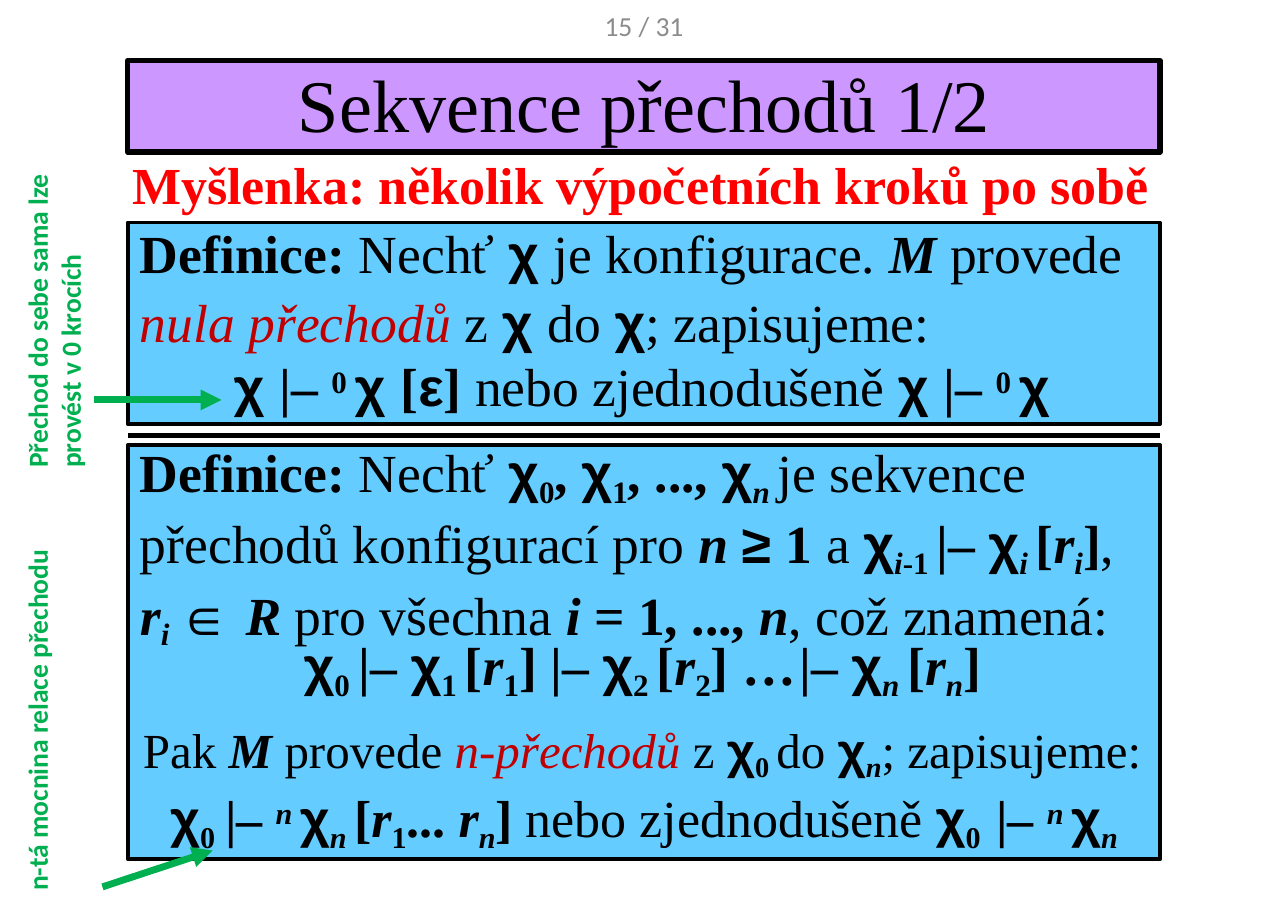
from lxml import etree
from pptx import Presentation
from pptx.dml.color import RGBColor
from pptx.enum.shapes import MSO_CONNECTOR, MSO_SHAPE
from pptx.enum.text import PP_ALIGN
from pptx.oxml.ns import qn
from pptx.util import Inches, Pt

RECTANGLE = MSO_SHAPE.RECTANGLE
STRAIGHT = MSO_CONNECTOR.STRAIGHT
LEFT, CENTER = PP_ALIGN.LEFT, PP_ALIGN.CENTER

COLORS = {"text": "000000", "idea": "FF0000", "term": "C00000", "note": "00B050",
          "page": "8C8C8C", "title": "CC98FF", "definition": "65CCFF"}
SERIF, GREEK, SANS = "Times New Roman", "Arial", "Calibri"
BASELINES = {"_": "-20000", "^": "25000"}

PANEL_LEFT, PANEL_WIDTH = 1.16, 9.37
CHI = ("χ", "ba")
STEP = ("|– ", "b")


def chi(index, style=""):
    return [CHI, (index, "b_" + style)]


def rule(index, style="", end="] "):
    """Runs for a rule name in brackets, such as [r1]."""
    return [("[", "b"), ("r", "bi"), (index, "b_" + style), (end, "b")]


def rgb(name):
    return RGBColor.from_string(COLORS[name])


def add_panel(slide, top, height, color, border):
    panel = slide.shapes.add_shape(RECTANGLE, Inches(PANEL_LEFT), Inches(top),
                                   Inches(PANEL_WIDTH), Inches(height))
    panel.shadow.inherit = False
    panel.fill.solid()
    panel.fill.fore_color.rgb = rgb(color)
    panel.line.color.rgb = rgb("text")
    panel.line.width = Pt(border)


def add_text_frame(slide, left, top, width, height, inset_top=0.0, inset_side=0.0, rotation=0):
    box = slide.shapes.add_textbox(Inches(left), Inches(top), Inches(width), Inches(height))
    box.rotation = rotation
    frame = box.text_frame
    frame.word_wrap = True
    frame.margin_left = frame.margin_right = Inches(inset_side)
    frame.margin_top = Inches(inset_top)
    frame.margin_bottom = 0
    return frame


def add_runs(paragraph, runs, size, color="text", font=SERIF):
    """Style letters: b bold, i italic, a Greek font, t term colour, _ subscript, ^ superscript."""
    for text, style in runs:
        run = paragraph.add_run()
        run.text = text
        run.font.size = Pt(size)
        run.font.name = GREEK if "a" in style else font
        run.font.bold = "b" in style
        run.font.italic = "i" in style
        run.font.color.rgb = rgb("term" if "t" in style else color)
        for mark, baseline in BASELINES.items():
            if mark in style:
                run.font._element.set("baseline", baseline)


def format_paragraph(paragraph, align=LEFT, before=0, spacing=None, margin=0, indent=0, tabs=()):
    paragraph.alignment = align
    paragraph.space_before = Pt(before)
    if spacing:
        paragraph.line_spacing = spacing
    properties = paragraph._p.get_or_add_pPr()
    properties.set("marL", str(Inches(margin)))
    properties.set("indent", str(Inches(indent)))
    if tabs:
        tab_list = etree.SubElement(properties, qn("a:tabLst"))
        for position in tabs:
            etree.SubElement(tab_list, qn("a:tab"), pos=str(Inches(position)), algn="l")


def add_line(slide, start, end, color, width, arrow=False):
    line = slide.shapes.add_connector(STRAIGHT, *(Inches(value) for value in start + end))
    line.line.color.rgb = rgb(color)
    line.line.width = Pt(width)
    if arrow:
        etree.SubElement(line.line._get_or_add_ln(), qn("a:tailEnd"), type="triangle")
    etree.SubElement(line._element.spPr, qn("a:effectLst"))


def add_margin_note(slide, left, top, width, text):
    frame = add_text_frame(slide, left, top, width, 0.71, 0.05, 0.1, rotation=270)
    add_runs(frame.paragraphs[0], [(text, "b")], 18, "note", SANS)


def add_title(slide):
    add_panel(slide, 0.55, 0.83, "title", 3.5)
    title = add_text_frame(slide, PANEL_LEFT, 0.52, PANEL_WIDTH, 0.84, 0.01).paragraphs[0]
    format_paragraph(title, CENTER, before=0.9)
    add_runs(title, [("Sekvence přechodů 1/2", "")], 48.5)


def add_zero_steps(slide):
    add_panel(slide, 2.02, 1.83, "definition", 2.5)
    frame = add_text_frame(slide, 1.18, 1.3, 9.35, 2.51, 0.05)
    idea = frame.paragraphs[0]
    format_paragraph(idea, before=3.5, spacing=1.07, margin=0.09, indent=-0.07)
    add_runs(idea, [("Myšlenka: několik výpočetních kroků po sobě", "b")], 34, "idea")

    definition = frame.add_paragraph()
    format_paragraph(definition, spacing=1.07, margin=0.09)
    add_runs(definition, [
        ("Definice: ", "b"), ("Nechť ", ""), ("χ ", "ba"), ("je konfigurace. ", ""),
        ("M ", "bi"), ("provede ", ""), ("nula přechodů ", "it"), ("z ", ""), ("χ ", "ba"),
        ("do ", ""), CHI, ("; zapisujeme:", "")], 35)

    notation = frame.add_paragraph()
    format_paragraph(notation, before=0.3, margin=0.94)
    zero_step = [("χ ", "ba"), STEP, ("0 ", "b^")]
    add_runs(notation, [
        *zero_step, ("χ ", "ba"), ("[", "b"), ("ε", "ba"), ("] ", "b"),
        ("nebo zjednodušeně ", ""), *zero_step, CHI], 35)


def add_n_steps(slide):
    add_panel(slide, 4.04, 3.76, "definition", 2.5)
    definition = add_text_frame(slide, 1.23, 3.97, 9.09, 1.79, 0.01).paragraphs[0]
    format_paragraph(definition, before=0.9, spacing=1.01, margin=0.04)
    add_runs(definition, [
        ("Definice: ", "b"), ("Nechť ", ""), *chi("0"), (", ", "b"), *chi("1"),
        (", ..., ", "b"), *chi("n ", "i"), ("je sekvence přechodů konfigurací pro ", ""),
        ("n ", "bi"), ("≥ ", "ba"), ("1 ", "b"), ("a ", ""), *chi("i", "i"), ("-1 ", "b_"),
        STEP, *chi("i ", "i"), *rule("i", "i", "]"), (", ", ""), ("r", "bi"), ("i ", "bi_"),
        ("∈ ", "ba"), ("R ", "bi"), ("pro všechna ", ""), ("i ", "bi"), ("= 1, ..., ", "b"),
        ("n", "bi"), (", což znamená:", "")], 35)

    frame = add_text_frame(slide, 1.23, 5.56, 9.2, 2.05, 0.18)
    sequence = frame.paragraphs[0]
    format_paragraph(sequence, CENTER, before=13.1, tabs=(0.63, 4.95))
    add_runs(sequence, [
        *chi("0\t"), STEP, *chi("1 "), *rule("1"), STEP, *chi("2 "), *rule("2"),
        ("…\t", "b"), STEP, *chi("n ", "i"), *rule("n", "i", "]")], 35)

    conclusion = frame.add_paragraph()
    format_paragraph(conclusion, CENTER, before=10.7)
    add_runs(conclusion, [
        ("Pak ", ""), ("M ", "bi"), ("provede ", ""), ("n-přechodů ", "it"), ("z ", ""),
        *chi("0 "), ("do ", ""), *chi("n", "i"), ("; zapisujeme:", "")], 32)

    notation = frame.add_paragraph()
    format_paragraph(notation, CENTER, before=1.4, margin=0.03, tabs=(0.68, 7.95))
    n_steps = [*chi("0\t"), STEP, ("n ", "bi^")]
    add_runs(notation, [
        *n_steps, *chi("n ", "i"), *rule("1", end="... "), ("r", "bi"), ("n", "bi_"),
        ("] ", "b"), ("nebo zjednodušeně ", ""), *n_steps, *chi("n", "i")], 34)


def main():
    presentation = Presentation()
    presentation.slide_width, presentation.slide_height = Inches(11.69), Inches(8.26)
    slide = presentation.slides.add_slide(presentation.slide_layouts[6])

    add_title(slide)
    add_zero_steps(slide)
    add_n_steps(slide)
    add_line(slide, (PANEL_LEFT, 3.95), (PANEL_LEFT + PANEL_WIDTH, 3.95), "text", 3.25)

    add_margin_note(slide, -1.18, 6.16, 3.34, "n-tá mocnina relace přechodu")
    add_margin_note(slide, -1.16, 2.34, 3.3, "Přechod do sebe sama lze provést v 0 krocích")
    add_line(slide, (0.85, 3.63), (2.01, 3.63), "note", 4.5, arrow=True)
    add_line(slide, (0.93, 8.05), (1.93, 7.72), "note", 4.5, arrow=True)

    page = add_text_frame(slide, 0, 0.08, 11.69, 0.3).paragraphs[0]
    format_paragraph(page, CENTER)
    add_runs(page, [("15 / 31", "")], 18, "page", SANS)
    presentation.save("out.pptx")


if __name__ == "__main__":
    main()
